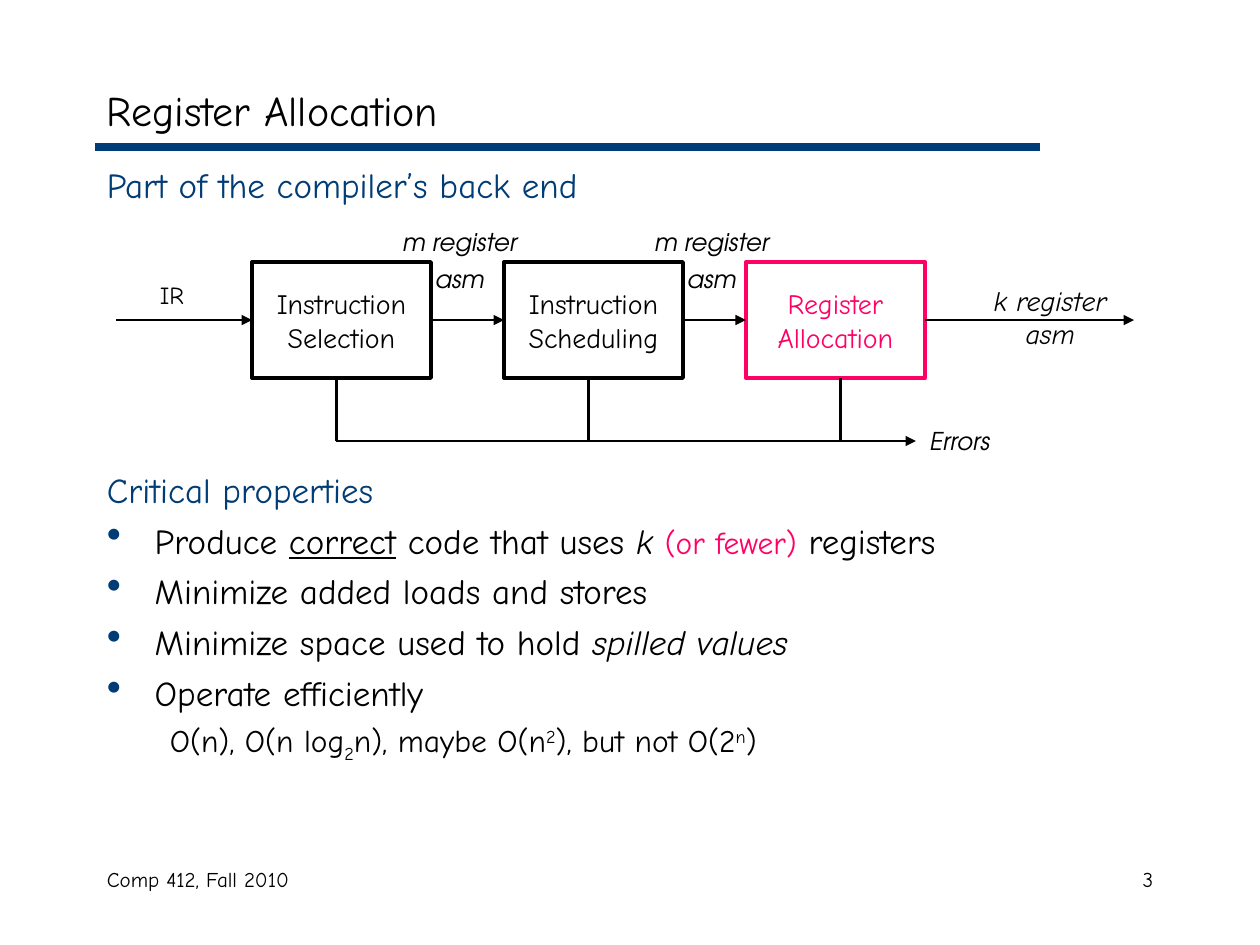
import pptx
import pptx.util
import pptx.dml.color
import pptx.enum.shapes
import pptx.enum.text
import pptx.oxml.ns
import lxml.etree

Inches = pptx.util.Inches
Pt = pptx.util.Pt
ALIGN = pptx.enum.text.PP_ALIGN
ANCHOR = pptx.enum.text.MSO_ANCHOR

COLORS = {"ink": "000000", "navy": "003C75", "pink": "FF0065"}
HAND, GEOMETRIC = "Comic Neue", "TeX Gyre Adventor"

# Body paragraphs: kind, space before, list of (text, format changes)
BODY = [
    ("heading", 0, [("Part of the compiler’s back end", {})]),
    ("heading", 150, [("Critical properties", {})]),
    ("bullet", 5, [
        ("Produce ", {}), ("correct", {"underline": True}),
        (" code that uses ", {}), ("k ", {"italic": True}),
        ("(or fewer)", {"size": 18, "color": "pink"}), (" registers", {}),
    ]),
    ("bullet", 5, [("Minimize added loads and stores", {})]),
    ("bullet", 5, [("Minimize space used to hold ", {}),
                   ("spilled values", {"italic": True})]),
    ("bullet", 5, [("Operate efficiently", {})]),
    ("detail", 4.5, [
        ("O(n), O(n log", {}), ("2", {"baseline": -25}),
        ("n), maybe O(n", {}), ("2", {"baseline": 30}),
        ("), but not O(2", {}), ("n", {"baseline": 30}), (")", {}),
    ]),
]
# Kind: size, color, left margin, first-line indent
KINDS = {
    "heading": (20, "navy", 0.38, -0.38),
    "bullet": (20, "ink", 0.38, -0.38),
    "detail": (18, "ink", 0.81, -0.31),
}

# Compiler stages: left edge, label, color
STAGES = [
    (2.0, "Instruction\nSelection", "ink"),
    (4.0, "Instruction\nScheduling", "ink"),
    (5.92, "Register\nAllocation", "pink"),
]
STAGE_TOP, STAGE_WIDTH, STAGE_HEIGHT = 2.08, 1.42, 0.92
STAGE_BOTTOM = STAGE_TOP + STAGE_HEIGHT
FLOW_Y, FLOW_START, FLOW_END = 2.54, 0.92, 9.0
ERROR_Y, ERROR_END = 3.5, 7.27
ERROR_DROPS = [2.67, 4.67, 6.67]

# Plain text: left, top, width, height, text, style
TEXTS = [
    (0.75, 0.58, 8.5, 0.58, "Register Allocation", {"size": 24, "anchor": ANCHOR.MIDDLE}),
    (0.75, 6.83, 3.17, 0.5, "Comp 412, Fall 2010", {"size": 12}),
    (7.17, 6.83, 2.08, 0.5, "3", {"size": 12, "align": ALIGN.RIGHT}),
    (1.17, 2.17, 0.39, 0.34, "IR", {"size": 14, "align": ALIGN.CENTER, "wrap": False}),
    (7.67, 2.2, 1.33, 0.64, "k register asm",
     {"size": 16, "align": ALIGN.CENTER, "italic": True}),
    (7.28, 3.33, 0.78, 0.34, "Errors",
     {"size": 14, "font": GEOMETRIC, "italic": True, "wrap": False}),
] + [
    (left, 1.75, 1.42, 0.63, "m register\nasm",
     {"size": 14, "font": GEOMETRIC, "italic": True, "align": ALIGN.CENTER, "gap": 4.4})
    for left in (2.94, 4.94)
]


def rgb(name):
    return pptx.dml.color.RGBColor.from_string(COLORS[name])


def format_span(span, size, color="ink", font=HAND, italic=False,
                underline=False, baseline=0):
    span.font.name = font
    span.font.size = Pt(size)
    span.font.color.rgb = rgb(color)
    span.font.italic = italic
    span.font.underline = underline
    if baseline:
        span._r.get_or_add_rPr().set("baseline", str(baseline * 1000))


def fill_text(box, text, size, color="ink", font=HAND, italic=False,
              align=ALIGN.LEFT, anchor=ANCHOR.TOP, wrap=True, gap=0):
    frame = box.text_frame
    frame.text = text
    frame.word_wrap = wrap
    frame.vertical_anchor = anchor
    for number, para in enumerate(frame.paragraphs):
        para.alignment = align
        para.space_before = Pt(gap if number else 0)
        for span in para.runs:
            format_span(span, size, color, font, italic)


def add_line(page, start, end, width, color="ink", arrow=False):
    points = [Inches(value) for value in (*start, *end)]
    line = page.shapes.add_connector(pptx.enum.shapes.MSO_CONNECTOR.STRAIGHT, *points)
    line.line.color.rgb = rgb(color)
    line.line.width = Pt(width)
    qn = pptx.oxml.ns.qn
    if arrow:
        lxml.etree.SubElement(line.line._get_or_add_ln(), qn("a:tailEnd"), type="triangle")
    lxml.etree.SubElement(line._element.spPr, qn("a:effectLst"))


def indent(para, kind):
    left, first = KINDS[kind][2:]
    props = para._p.get_or_add_pPr()
    props.set("marL", str(Inches(left)))
    props.set("indent", str(Inches(first)))
    qn = pptx.oxml.ns.qn
    if kind == "bullet":
        tint = lxml.etree.SubElement(props, qn("a:buClr"))
        lxml.etree.SubElement(tint, qn("a:srgbClr"), val=COLORS["navy"])
        lxml.etree.SubElement(props, qn("a:buSzPct"), val="120000")
        lxml.etree.SubElement(props, qn("a:buChar"), char="•")
    else:
        lxml.etree.SubElement(props, qn("a:buNone"))


def add_body(page):
    box = page.shapes.add_textbox(Inches(0.75), Inches(1.25), Inches(8.5), Inches(5.42))
    frame = box.text_frame
    frame.word_wrap = True
    for number, (kind, before, pieces) in enumerate(BODY):
        para = frame.add_paragraph() if number else frame.paragraphs[0]
        indent(para, kind)
        para.space_before = Pt(before)
        size, color = KINDS[kind][:2]
        for text, changes in pieces:
            span = para.add_run()
            span.text = text
            format_span(span, **{"size": size, "color": color, **changes})


def add_diagram(page):
    # Stage boxes
    for left, label, color in STAGES:
        box = page.shapes.add_shape(
            pptx.enum.shapes.MSO_SHAPE.RECTANGLE, Inches(left), Inches(STAGE_TOP),
            Inches(STAGE_WIDTH), Inches(STAGE_HEIGHT))
        box.shadow.inherit = False
        box.fill.background()
        box.line.color.rgb = rgb(color)
        box.line.width = Pt(2.25)
        fill_text(box, label, 16, color, align=ALIGN.CENTER,
                  anchor=ANCHOR.MIDDLE, wrap=False)

    # Flow into, between and out of the stages
    starts = [FLOW_START] + [left + STAGE_WIDTH for left, _, _ in STAGES]
    ends = [left for left, _, _ in STAGES] + [FLOW_END]
    for start, end, width in zip(starts, ends, (1.5, 0.75, 0.75, 1.5)):
        add_line(page, (start, FLOW_Y), (end, FLOW_Y), width, arrow=True)

    # Errors collected from every stage
    for x in ERROR_DROPS:
        add_line(page, (x, STAGE_BOTTOM), (x, ERROR_Y), 1.5)
    add_line(page, (ERROR_DROPS[0], ERROR_Y), (ERROR_END, ERROR_Y), 1.5, arrow=True)


def main():
    deck = pptx.Presentation()
    deck.slide_width, deck.slide_height = Inches(10), Inches(7.5)
    page = deck.slides.add_slide(deck.slide_layouts[6])

    # Title rule, body and diagram
    add_line(page, (0.75, 1.17), (8.25, 1.17), 4.5, "navy")
    add_body(page)
    add_diagram(page)

    # Title, footer and diagram labels
    for left, top, width, height, text, style in TEXTS:
        box = page.shapes.add_textbox(Inches(left), Inches(top), Inches(width), Inches(height))
        fill_text(box, text, **style)

    deck.save("out.pptx")


if __name__ == "__main__":
    main()
